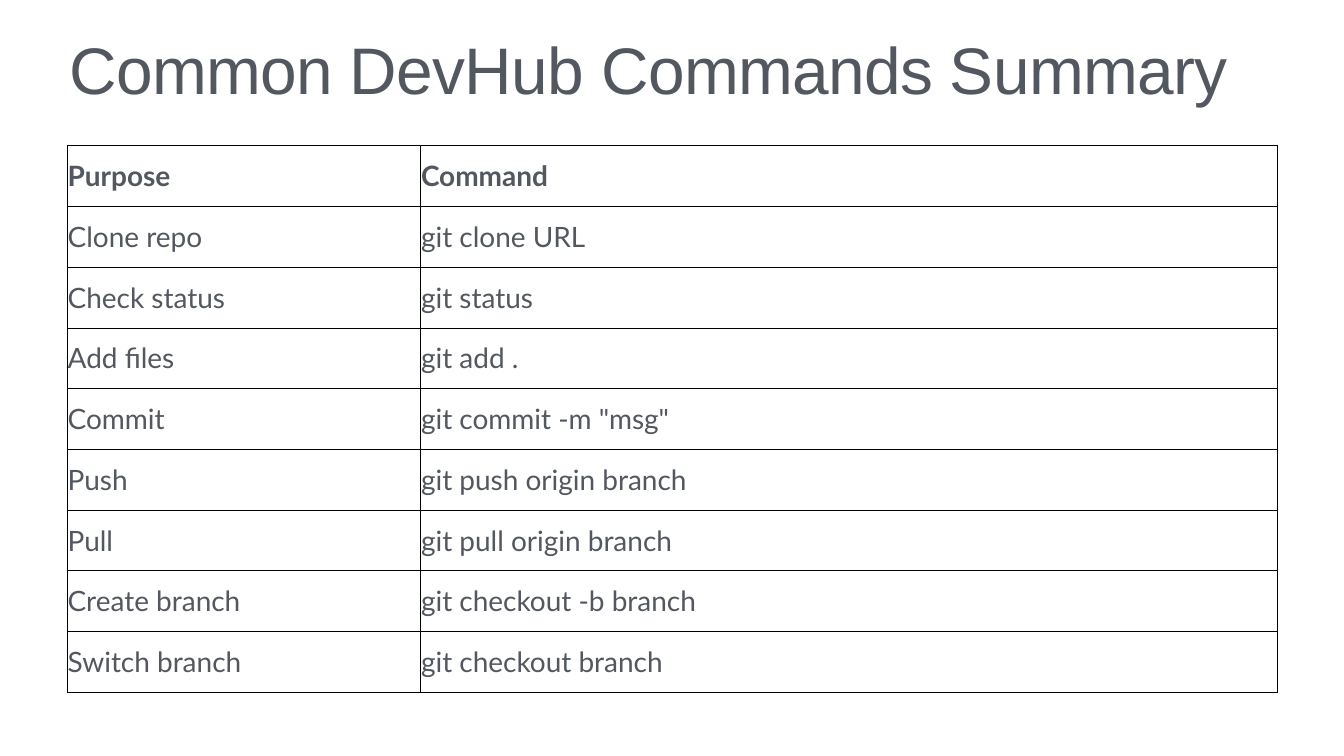
import lxml.etree
import pptx
import pptx.dml.color
import pptx.enum.text
import pptx.oxml.ns
import pptx.util

Cm = pptx.util.Cm
Pt = pptx.util.Pt
MIDDLE = pptx.enum.text.MSO_ANCHOR.MIDDLE

COLOURS = {"text": "535860", "cell": "FFFFFF", "border": "000000"}

TITLE = "Common DevHub Commands Summary"
COMMANDS = [
    ("Purpose", "Command"),
    ("Clone repo", "git clone URL"),
    ("Check status", "git status"),
    ("Add files", "git add ."),
    ("Commit", 'git commit -m "msg"'),
    ("Push", "git push origin branch"),
    ("Pull", "git pull origin branch"),
    ("Create branch", "git checkout -b branch"),
    ("Switch branch", "git checkout branch"),
]
COLUMN_WIDTHS = [Cm(17.81), Cm(43.21)]
ROW_HEIGHT = Cm(3.06)

TITLE_FONT = {"name": "Arial", "size": Pt(94), "bold": False}
CELL_FONT = {"name": "Lato", "size": Pt(40)}
SIDES = ("left", "top", "right", "bottom")
TITLE_FRAME = {"word_wrap": True, **{f"margin_{side}": Cm(0.15) for side in SIDES}}
CELL_FORMAT = {
    "vertical_anchor": MIDDLE,
    **{f"margin_{side}": Cm(0.03) for side in SIDES},
}


def colour(name):
    return pptx.dml.color.RGBColor.from_string(COLOURS[name])


def apply_format(target, values):
    for attribute, value in values.items():
        setattr(target, attribute, value)


def write_text(paragraph, words, font):
    run = paragraph.add_run()
    run.text = words
    apply_format(run.font, font)
    run.font.color.rgb = colour("text")
    return run


def add_title(slide):
    heading = slide.shapes.add_textbox(Cm(3.35), Cm(1.75), Cm(61.04), Cm(4.7))
    apply_format(heading.text_frame, TITLE_FRAME)
    paragraph = heading.text_frame.paragraphs[0]
    paragraph.line_spacing = 0.9
    run = write_text(paragraph, TITLE, TITLE_FONT)
    run.font._element.set("spc", "-90")


def add_borders(cell):
    qn = pptx.oxml.ns.qn
    properties = cell._tc.get_or_add_tcPr()
    for position, edge in enumerate(("a:lnL", "a:lnR", "a:lnT", "a:lnB")):
        line = lxml.etree.Element(qn(edge), w=str(Pt(1)))
        fill = lxml.etree.SubElement(line, qn("a:solidFill"))
        lxml.etree.SubElement(fill, qn("a:srgbClr"), val=COLOURS["border"])
        properties.insert(position, line)


def fill_cell(cell, words, bold):
    apply_format(cell, CELL_FORMAT)
    cell.fill.solid()
    cell.fill.fore_color.rgb = colour("cell")
    write_text(cell.text_frame.paragraphs[0], words, {**CELL_FONT, "bold": bold})
    add_borders(cell)


def add_command_table(slide):
    commands = slide.shapes.add_table(
        len(COMMANDS), len(COLUMN_WIDTHS), Cm(3.38), Cm(7.34),
        sum(COLUMN_WIDTHS), ROW_HEIGHT * len(COMMANDS),
    ).table
    commands.horz_banding = False
    for column, width in zip(commands.columns, COLUMN_WIDTHS):
        column.width = width
    for row_number, entries in enumerate(COMMANDS):
        commands.rows[row_number].height = ROW_HEIGHT
        for column_number, words in enumerate(entries):
            fill_cell(commands.cell(row_number, column_number), words, row_number == 0)


def main():
    deck = pptx.Presentation()
    deck.slide_width = Cm(67.74)
    deck.slide_height = Cm(38.1)
    slide = deck.slides.add_slide(deck.slide_layouts[6])
    add_title(slide)
    add_command_table(slide)
    deck.save("out.pptx")


if __name__ == "__main__":
    main()
